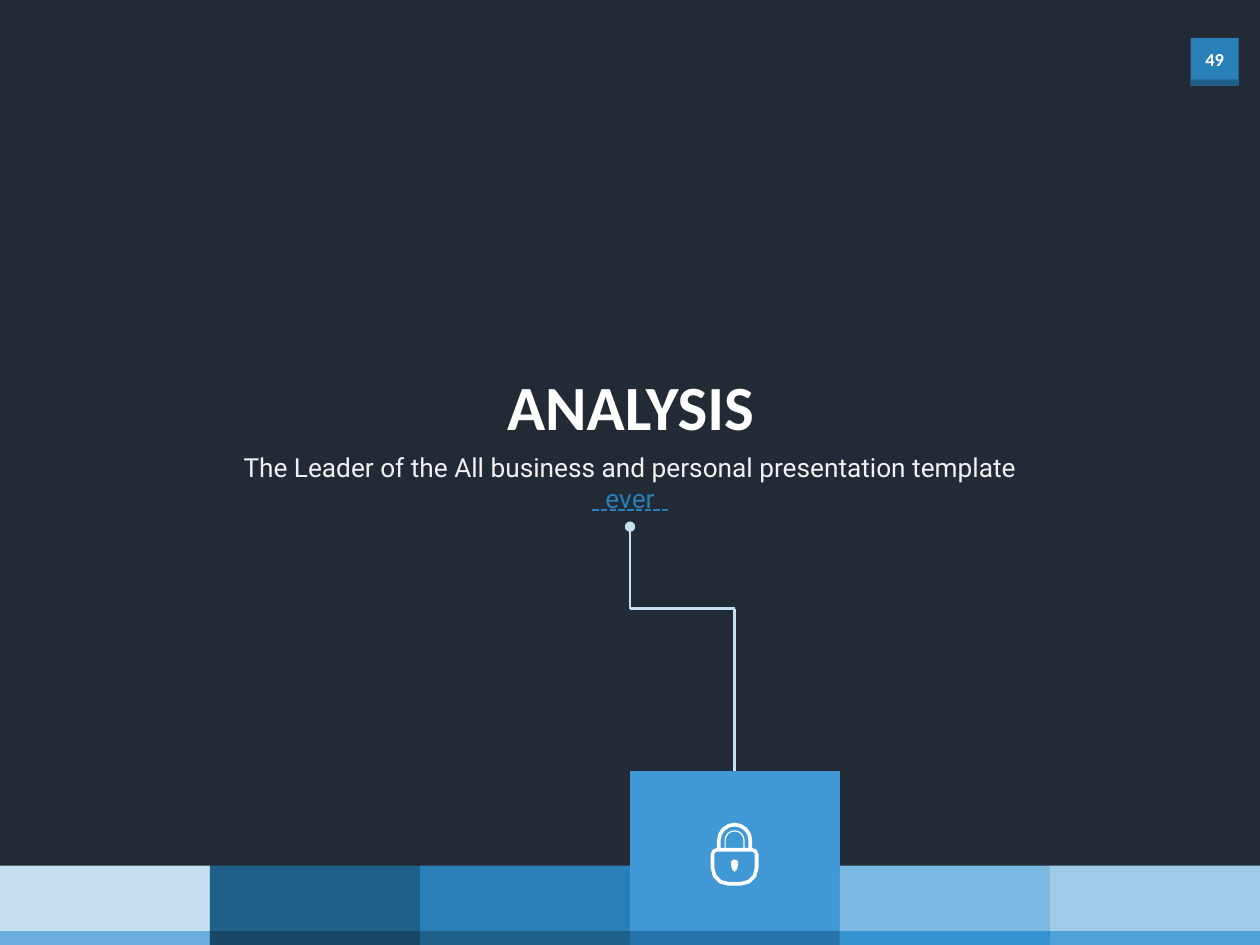
from dataclasses import dataclass
from math import cos, radians, sin

from lxml.etree import SubElement
from pptx import Presentation
from pptx.dml.color import RGBColor
from pptx.enum.dml import MSO_LINE
from pptx.enum.shapes import MSO_CONNECTOR, MSO_SHAPE
from pptx.enum.text import MSO_AUTO_SIZE, PP_ALIGN
from pptx.oxml.ns import qn
from pptx.util import Inches, Pt


@dataclass(frozen=True)
class Theme:
    background: str = "222A35"
    white: str = "FFFFFF"
    text: str = "F2F2F2"
    accent: str = "2980B9"
    accent_dark: str = "1F608B"
    pale: str = "C6E0F2"
    heading_font: str = "Calibri"
    body_font: str = "Roboto"
    title_size: float = 36
    body_size: float = 15
    number_size: float = 10.5
    line_width: float = 1.25
    # Face and base strip of each tile, left to right
    tiles: tuple = (
        ("C6E0F2", "6CAFDE"), ("1F608B", "174868"), ("2980B9", "1F608B"),
        ("4098D4", "2674A9"), ("7BB8E1", "3492D1"), ("9FCBE9", "4FA0D7"),
    )


THEME = Theme()


def color(value):
    return RGBColor.from_string(value)


def paint(shape, fill):
    shape.shadow.inherit = False
    shape.fill.solid()
    shape.fill.fore_color.rgb = color(fill)
    shape.line.fill.background()


def add_block(slide, left, top, width, height, fill):
    shape = slide.shapes.add_shape(
        MSO_SHAPE.RECTANGLE, Inches(left), Inches(top), Inches(width), Inches(height))
    paint(shape, fill)


def add_text(slide, left, top, width, height, runs, font, size, bold=False, wrap=False):
    box = slide.shapes.add_textbox(Inches(left), Inches(top), Inches(width), Inches(height))
    frame = box.text_frame
    frame.word_wrap = wrap
    frame.auto_size = MSO_AUTO_SIZE.SHAPE_TO_FIT_TEXT
    paragraph = frame.paragraphs[0]
    paragraph.alignment = PP_ALIGN.CENTER
    paragraph.font.name = font
    paragraph.font.size = Pt(size)
    paragraph.font.bold = bold
    for text, fill in runs:
        run = paragraph.add_run()
        run.text = text
        run.font.color.rgb = color(fill)


def add_line(slide, start, end, fill, dashed=False, dot=False):
    line = slide.shapes.add_connector(
        MSO_CONNECTOR.STRAIGHT, *(Inches(value) for value in (*start, *end)))
    line.line.color.rgb = color(fill)
    line.line.width = Pt(THEME.line_width)
    if dashed:
        line.line.dash_style = MSO_LINE.SQUARE_DOT
    properties = line._element.spPr
    if dot:
        SubElement(properties.find(qn("a:ln")), qn("a:headEnd"), type="oval")
    SubElement(properties, qn("a:effectLst"))


def arc(x, y, radius_x, radius_y, start, end, steps=3):
    angles = [radians(start + (end - start) * step / steps) for step in range(steps + 1)]
    return [(x + radius_x * cos(angle), y + radius_y * sin(angle)) for angle in angles]


def arch(x, y, radius, base):
    """Upright arch whose legs end at base."""
    return [(x - radius, base), *arc(x, y, radius, radius, 180, 360, 8), (x + radius, base)]


def body(left, top, right, bottom, upper, lower):
    """Rounded body, clockwise from its top right corner."""
    return [
        *arc(right - upper, top + upper, upper, upper, -90, 0, 2),
        *arc(right - lower, bottom - lower, lower, lower, 0, 90),
        *arc(left + lower, bottom - lower, lower, lower, 90, 180),
        *arc(left + upper, top + upper, upper, upper, 180, 270, 2),
    ]


def add_outline(slide, left, top, contours, fill):
    placed = [[(Inches(left + x), Inches(top + y)) for x, y in contour] for contour in contours]
    builder = slide.shapes.build_freeform(*placed[0][0])
    for index, contour in enumerate(placed):
        if index:
            builder.move_to(*contour[0])
        builder.add_line_segments(contour[1:], close=True)
    paint(builder.convert_to_shape(), fill)


def add_page_number(slide, left, top, size):
    add_block(slide, left, top, size, size, THEME.accent)
    add_block(slide, left, top + size - 0.05, size, 0.05, THEME.accent_dark)
    add_text(slide, left, top + 0.03, size, 0.28, [("49", THEME.white)],
             THEME.heading_font, THEME.number_size, bold=True)


def add_tile_band(slide, left, top, width, height, raised, lift):
    tile_width = width / len(THEME.tiles)
    strip = 0.11
    for index, (face, base) in enumerate(THEME.tiles):
        x = left + index * tile_width
        extra = lift if index == raised else 0
        add_block(slide, x, top - extra, tile_width, height + extra, face)
        add_block(slide, x, top + height - strip, tile_width, strip, base)


def add_heading(slide, left, top, width):
    center = left + width / 2
    add_text(slide, center - 1.09, top, 2.19, 0.71, [("ANALYSIS", THEME.white)],
             THEME.heading_font, THEME.title_size, bold=True)
    subtitle = [("The Leader of the All business and personal presentation template ", THEME.text),
                ("ever", THEME.accent)]
    add_text(slide, left, top + 0.66, width, 0.35, subtitle,
             THEME.body_font, THEME.body_size, wrap=True)
    add_line(slide, (center - 0.3, top + 1.18), (center + 0.3, top + 1.18),
             THEME.accent, dashed=True)


def add_elbow(slide, left, top, width, height):
    right, middle = left + width, top + 0.65
    add_line(slide, (right, middle), (left, middle), THEME.pale)
    add_line(slide, (right, middle), (right, top + height), THEME.pale)
    add_line(slide, (left, top), (left, middle), THEME.pale, dot=True)


def add_padlock(slide, left, top, width, height):
    center, curve, seam = width / 2, 0.15, 0.21
    edge = 0.03
    shell = body(0, seam, width, height, 0.05, 0.14)
    inside = body(edge, seam + edge, width - edge, height - edge, 0.02, 0.11)
    shackle = [arch(center, curve, radius, seam) for radius in (0.14, 0.11, 0.08, 0.07)]
    add_outline(slide, left, top, [shackle[0] + shell, *shackle[1:], inside], THEME.white)
    # Keyhole
    keyhole = [*arc(center, 0.33, 0.03, 0.03, 160, 380, 5),
               *arc(center, 0.38, 0.02, 0.02, 0, 180, 2)]
    add_outline(slide, left, top, [keyhole], THEME.white)


def main():
    presentation = Presentation()
    presentation.slide_width, presentation.slide_height = Inches(10), Inches(7.5)
    slide = presentation.slides.add_slide(presentation.slide_layouts[6])
    slide.background.fill.solid()
    slide.background.fill.fore_color.rgb = color(THEME.background)

    add_page_number(slide, 9.45, 0.3, 0.38)
    add_tile_band(slide, 0, 6.87, 10, 0.63, raised=3, lift=0.75)
    add_heading(slide, 1.74, 2.87, 6.52)
    add_elbow(slide, 5, 4.18, 0.83, 1.94)
    add_padlock(slide, 5.64, 6.52, 0.38, 0.51)
    presentation.save("out.pptx")


if __name__ == "__main__":
    main()
